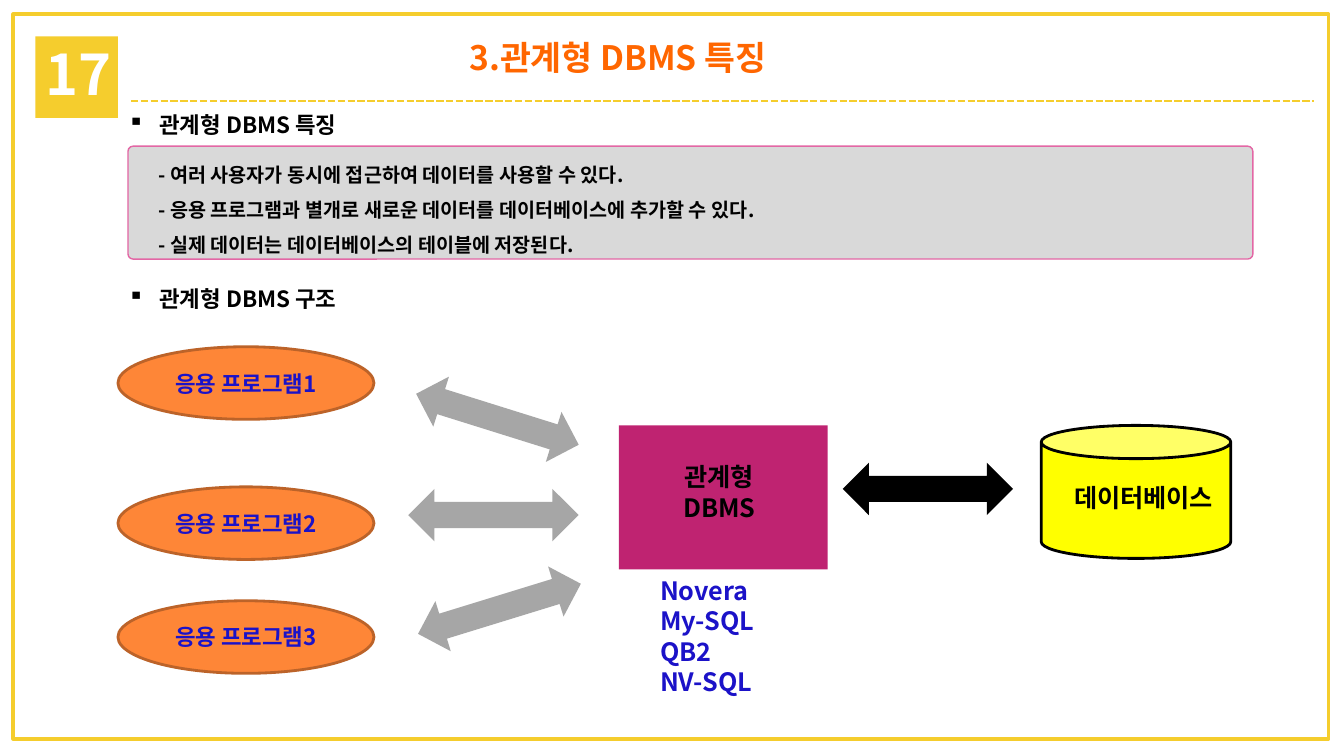
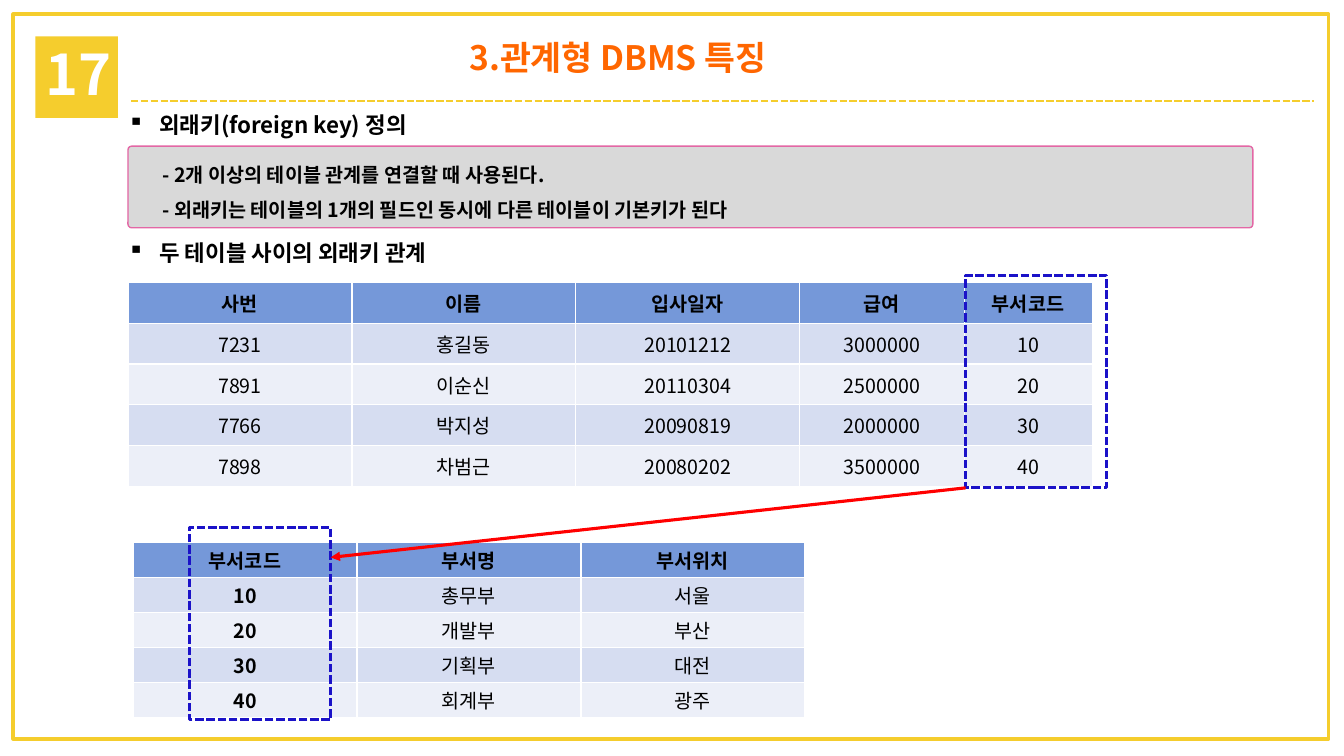
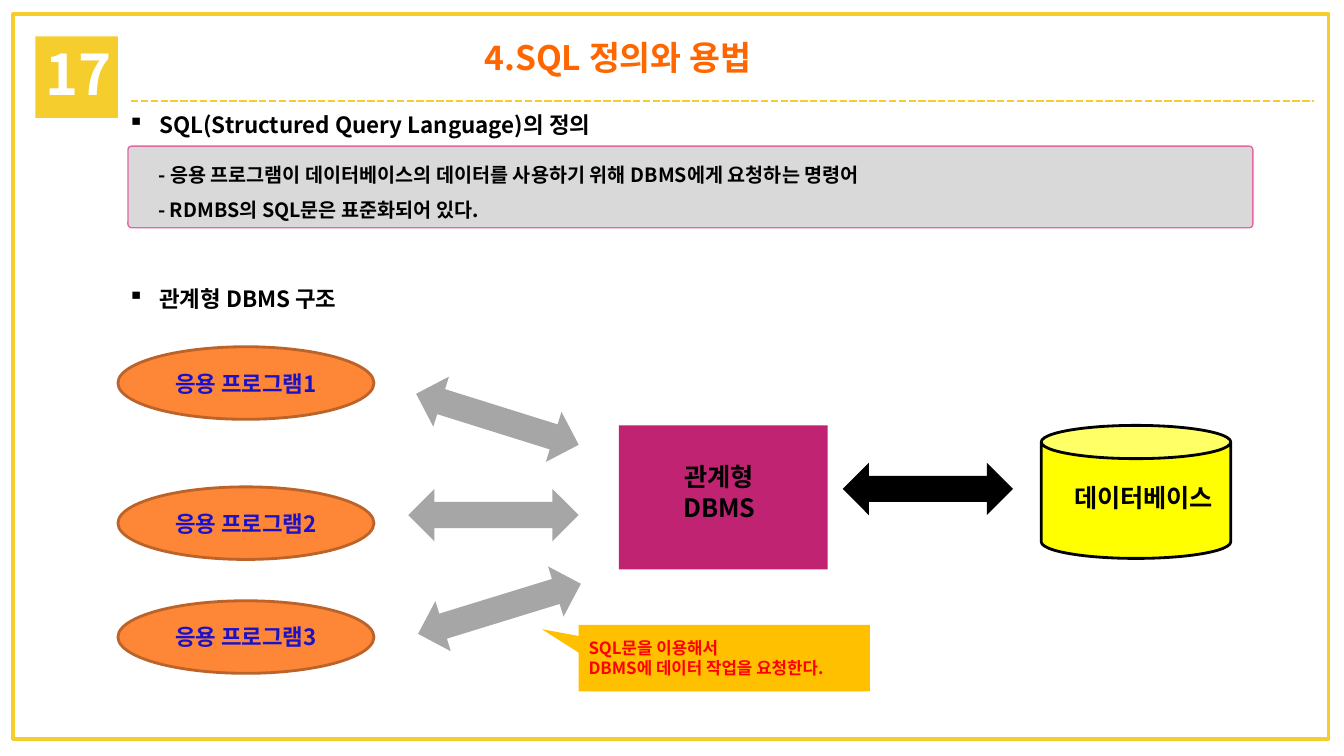
from dataclasses import dataclass

from lxml.etree import SubElement
from pptx import Presentation
from pptx.dml.color import RGBColor as Rgb
from pptx.enum.dml import MSO_LINE as Dash
from pptx.enum.shapes import MSO_CONNECTOR as Conn, MSO_SHAPE as Kind
from pptx.enum.text import MSO_ANCHOR as Anchor, MSO_AUTO_SIZE as Fit, PP_ALIGN as Align
from pptx.oxml.ns import qn
from pptx.util import Pt


@dataclass(frozen=True)
class Theme:
    font: str = "Noto Sans CJK KR"
    cols: int = 160
    rows: int = 90
    cell: int = 6
    gold: str = "F5CD2D"
    white: str = "FFFFFF"
    black: str = "000000"
    title: str = "FF6600"
    panel: str = "D9D9D9"
    pink: str = "E367A5"
    plum: str = "BF2371"
    blue: str = "1B12C8"
    orange: str = "FE8637"
    rust: str = "BC6329"
    gray: str = "A6A6A6"
    yellow: str = "FFFF00"
    amber: str = "FFC000"
    red: str = "FF0000"
    top: str = "7598D9"
    bands: tuple = ("D6DDF1", "ECEFF8")
    huge: int = 40
    large: int = 24
    big: int = 18
    mid: int = 16
    base: int = 14
    small: int = 12


class Deck:
    """Draw slides on a grid of equal square cells in one theme."""

    def __init__(self, theme):
        self.theme = theme
        self.prs = Presentation()
        self.put(self.prs, {"slide_width": self.size(theme.cols),
                            "slide_height": self.size(theme.rows)})
        self.slide = None

    def size(self, units):
        return Pt(units * self.theme.cell)

    def place(self, *units):
        return [self.size(unit) for unit in units]

    def put(self, item, values):
        for name, value in values.items():
            setattr(item, name, value)

    def words(self, frame, lines, size, color, bold=True, form=None, indent=0, hang=0, mark=None):
        for num, line in enumerate(lines):
            para = frame.add_paragraph() if num else frame.paragraphs[0]
            self.put(para, form or {})
            if indent:
                props = para._p.get_or_add_pPr()
                props.set("marL", str(self.size(indent)))
                props.set("indent", str(-self.size(hang)))
                if mark:
                    SubElement(props, qn("a:buChar")).set("char", mark)
            run = para.add_run()
            run.text = line
            self.put(run.font, {"name": self.theme.font, "size": Pt(size), "bold": bold})
            run.font.color.rgb = Rgb.from_string(color)
            SubElement(run._r.get_or_add_rPr(), qn("a:ea")).set("typeface", self.theme.font)

    def text(self, area, lines, size, color, **style):
        frame = self.slide.shapes.add_textbox(*self.place(*area)).text_frame
        self.put(frame, {"word_wrap": True, "auto_size": Fit.SHAPE_TO_FIT_TEXT})
        self.words(frame, lines, size, color, **style)

    def stroke(self, line, color, width, dash=None):
        line.color.rgb = Rgb.from_string(color)
        self.put(line, {"width": Pt(width), "dash_style": dash})

    def shape(self, kind, area, fill=None, line=None, turn=0, tune=()):
        shape = self.slide.shapes.add_shape(kind, *self.place(*area))
        shape.shadow.inherit = False
        shape.rotation = turn
        for num, value in enumerate(tune):
            shape.adjustments[num] = value
        if fill:
            shape.fill.solid()
            shape.fill.fore_color.rgb = Rgb.from_string(fill)
        else:
            shape.fill.background()
        if line:
            self.stroke(shape.line, *line)
        else:
            shape.line.fill.background()
        return shape

    def line(self, ends, *style, tip=False):
        link = self.slide.shapes.add_connector(Conn.STRAIGHT, *self.place(*ends))
        self.stroke(link.line, *style)
        if tip:
            SubElement(link.get_or_add_ln(), qn("a:tailEnd")).set("type", "triangle")
        SubElement(link._element.spPr, qn("a:effectLst"))

    def page(self, title):
        look = self.theme
        self.slide = self.prs.slides.add_slide(self.prs.slide_layouts[6])
        self.shape(Kind.RECTANGLE, (1.56, 1.68, 156.6, 86.28), line=(look.gold, 2.5))
        self.shape(Kind.RECTANGLE, (4.2, 4.32, 9.84, 9.72), look.gold)
        self.text((4.2, 4.08, 11.64, 9.24), ["17"], look.huge, look.white)
        self.line((15.6, 12, 156.48, 12), look.gold, 1.75, Dash.SQUARE_DOT)
        self.text((17.16, 3.84, 112.8, 6), [title], look.large, look.title,
                  form={"alignment": Align.CENTER})

    def head(self, text, top=12.6, width=63.24):
        self.text((14.04, top, width, 4.44), [text], self.theme.mid, self.theme.black,
                  indent=3.75, hang=3.75, mark="▪")

    def note(self, lines, high=9.72, indent=0.5):
        look = self.theme
        self.shape(Kind.ROUNDED_RECTANGLE, (15.24, 17.4, 133.92, high), look.panel,
                   (look.pink, 1), tune=[0.045])
        self.text((17.16, 17.4, 126.12, 4.2 * len(lines) + 1.32), lines, look.base, look.black,
                  form={"line_spacing": 1.5}, indent=indent)

    def table(self, left, top, widths, high, data, keys=False):
        look = self.theme
        area = self.place(left, top, sum(widths), high * len(data))
        grid = self.slide.shapes.add_table(len(data), len(widths), *area).table
        for col, width in zip(grid.columns, widths):
            col.width = self.size(width)
        for row, items in enumerate(data):
            grid.rows[row].height = self.size(high)
            fill = look.bands[(row - 1) % 2] if row else look.top
            for col, item in enumerate(items):
                cell = grid.cell(row, col)
                self.put(cell, {"margin_top": self.size(0.3), "margin_bottom": self.size(0.3),
                                "vertical_anchor": Anchor.MIDDLE})
                cell.fill.solid()
                cell.fill.fore_color.rgb = Rgb.from_string(fill)
                self.words(cell.text_frame, [item], look.base, look.black,
                           bold=row == 0 or (keys and col == 0),
                           form={"alignment": Align.CENTER})

    def frame(self, *area):
        self.shape(Kind.RECTANGLE, area, line=(self.theme.blue, 2, Dash.SQUARE_DOT))

    def arrow(self, left, top, color, turn=0):
        self.shape(Kind.LEFT_RIGHT_ARROW, (left, top, 20.28, 6.24), color, turn=turn)

    def system(self):
        look = self.theme
        mid = {"alignment": Align.CENTER}
        self.head("관계형 DBMS 구조", 33.36)
        self.shape(Kind.RECTANGLE, (73.68, 50.64, 24.84, 17.16), look.plum)
        self.text((70.08, 54.36, 31.08, 8.52), ["관계형", "DBMS"], look.big, look.black, form=mid)
        for num, top in enumerate((41.28, 57.96, 71.52), 1):
            app = self.shape(Kind.OVAL, (14.04, top, 30.48, 8.64), look.orange, (look.rust, 2))
            self.words(app.text_frame, [f"응용 프로그램{num}"], look.mid, look.blue, form=mid)
        for left, top, turn in ((49.08, 46.8, 17.4), (48.6, 58.2, 0), (49.32, 69.36, 342.9)):
            self.arrow(left, top, look.gray, turn)
        self.shape(Kind.CAN, (123.96, 50.64, 22.56, 15.84), look.yellow, (look.black, 2))
        self.text((120.6, 56.88, 31.08, 4.8), ["데이터베이스"], look.big, look.black, form=mid)
        self.arrow(100.32, 55.08, look.black)

    def bubble(self, area, lines):
        look = self.theme
        box = self.shape(Kind.RECTANGULAR_CALLOUT, area, look.amber, tune=[-0.626, -0.435])
        self.words(box.text_frame, lines, look.small, look.red, form={"alignment": Align.LEFT})


def main():
    look = Theme()
    deck = Deck(look)

    deck.page("3.관계형 DBMS 특징")
    deck.head("관계형 DBMS 특징")
    deck.note(["- 여러 사용자가 동시에 접근하여 데이터를 사용할 수 있다.",
               "- 응용 프로그램과 별개로 새로운 데이터를 데이터베이스에 추가할 수 있다.",
               "- 실제 데이터는 데이터베이스의 테이블에 저장된다."], high=13.44)
    deck.system()
    deck.text((77.4, 67.92, 34.44, 15.72), ["Novera", "My-SQL", "QB2", "NV-SQL"],
              look.big, look.blue)

    deck.page("3.관계형 DBMS 특징")
    deck.head("외래키(foreign key) 정의")
    deck.note(["- 2개 이상의 테이블 관계를 연결할 때 사용된다.",
               "- 외래키는 테이블의 1개의 필드인 동시에 다른 테이블이 기본키가 된다"], indent=1)
    deck.head("두 테이블 사이의 외래키 관계", 27.84)
    wide = 26.66
    deck.table(15.24, 33.6, [wide] * 3 + [19.56, 15.24], 4.87, [
        ["사번", "이름", "입사일자", "급여", "부서코드"],
        ["7231", "홍길동", "20101212", "3000000", "10"],
        ["7891", "이순신", "20110304", "2500000", "20"],
        ["7766", "박지성", "20090819", "2000000", "30"],
        ["7898", "차범근", "20080202", "3500000", "40"]])
    deck.table(15.84, 64.56, [wide] * 3, 4.18, [
        ["부서코드", "부서명", "부서위치"],
        ["10", "총무부", "서울"],
        ["20", "개발부", "부산"],
        ["30", "기획부", "대전"],
        ["40", "회계부", "광주"]], keys=True)
    deck.frame(114.96, 32.76, 16.8, 25.32)
    deck.frame(22.56, 62.76, 16.8, 22.92)
    deck.line((114.96, 58.08, 39.36, 66.36), look.red, 2.25, tip=True)

    deck.page("4.SQL 정의와 용법")
    deck.head("SQL(Structured Query Language)의 정의", width=68.16)
    deck.note(["- 응용 프로그램이 데이터베이스의 데이터를 사용하기 위해 DBMS에게 요청하는 명령어",
               "- RDMBS의 SQL문은 표준화되어 있다."])
    deck.system()
    deck.bubble((68.88, 74.4, 34.68, 7.92),
                ["SQL문을 이용해서", "DBMS에 데이터 작업을 요청한다."])

    deck.prs.save("out.pptx")


if __name__ == "__main__":
    main()
